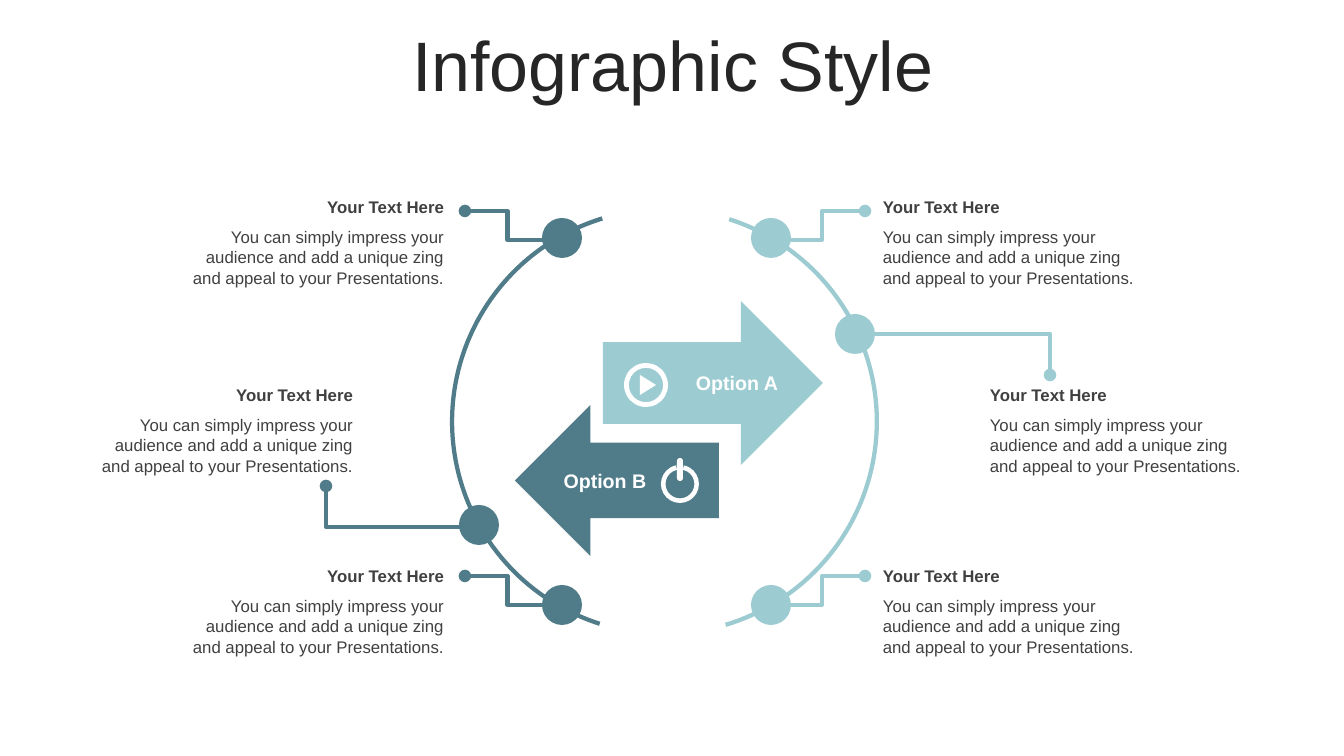
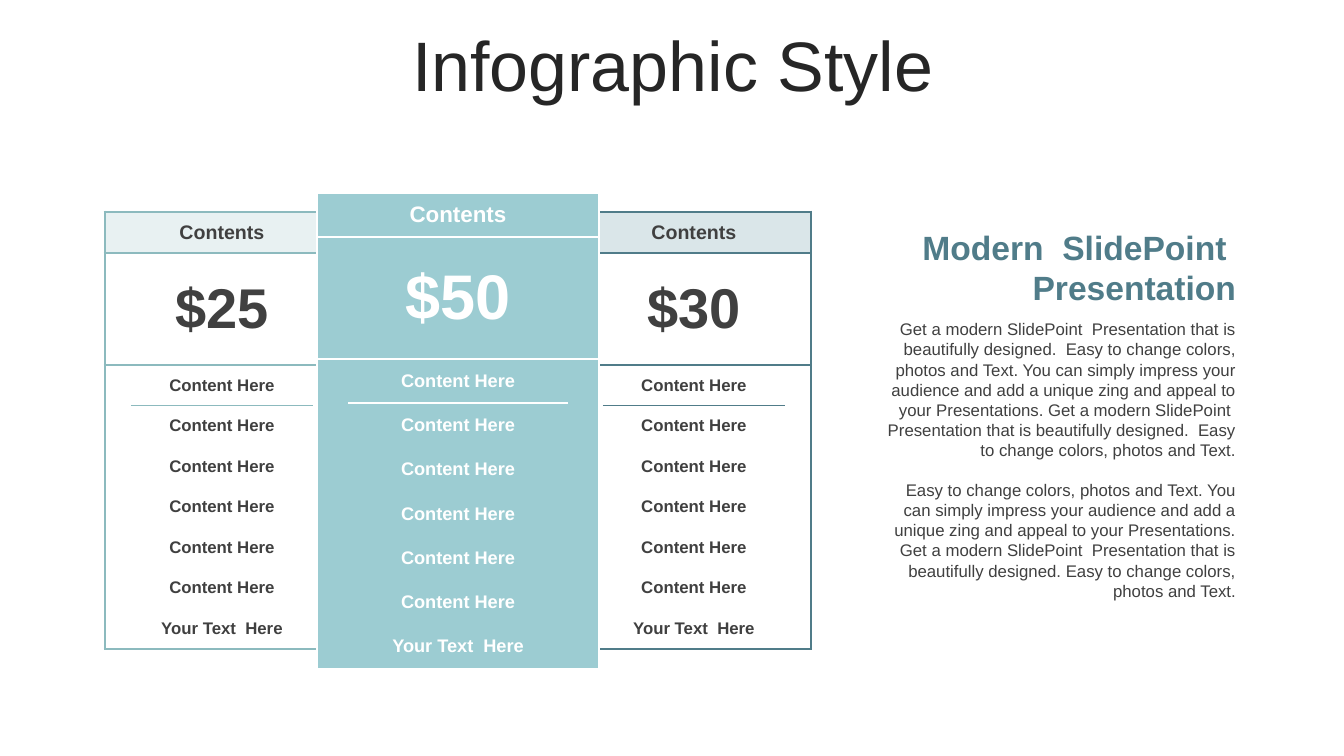
from lxml import etree
from pptx import Presentation
from pptx import util as u
from pptx.dml.color import RGBColor
from pptx.enum import shapes, text
from pptx.oxml import ns

EMU_PER_PX = 914400 / 100.8
FONT = "Arial"
WHITE = RGBColor(0xFF, 0xFF, 0xFF)
INK = RGBColor(0x26, 0x26, 0x26)
GRAY = RGBColor(0x40, 0x40, 0x40)
DEEP = RGBColor(0x50, 0x7C, 0x89)
DEEP_PALE = RGBColor(0xDA, 0xE6, 0xE9)
AQUA = RGBColor(0x9C, 0xCC, 0xD2)
AQUA_LINE = RGBColor(0x8C, 0xBA, 0xBE)
AQUA_PALE = RGBColor(0xE8, 0xF1, 0xF2)
LEFT, CENTER, RIGHT = text.PP_ALIGN.LEFT, text.PP_ALIGN.CENTER, text.PP_ALIGN.RIGHT
MIDDLE = text.MSO_ANCHOR.MIDDLE
SHAPE = shapes.MSO_SHAPE


def px(*lengths):
    return [u.Emu(round(n * EMU_PER_PX)) for n in lengths]


def write(tf, lines, size, color, bold=False, align=LEFT, gap=0):
    tf.word_wrap = True
    for i, line in enumerate(lines):
        p = tf.paragraphs[0] if i == 0 else tf.add_paragraph()
        p.text = line
        p.alignment = align
        if i:
            p.space_before = u.Pt(gap)
        p.font.name = FONT
        p.font.size = u.Pt(size)
        p.font.bold = bold
        p.font.color.rgb = color


prs = Presentation()
prs.slide_width, prs.slide_height = px(1344, 756)
layout = prs.slide_layouts[5]
slides = [prs.slides.add_slide(layout) for _ in range(2)]
for s in slides:
    title = s.shapes.title
    title.left, title.top, title.width, title.height = px(35, 31, 1276, 80)
    tf = title.text_frame
    write(tf, ["Infographic Style"], 50, INK, align=CENTER)
    tf.auto_size = text.MSO_AUTO_SIZE.NONE
    tf.vertical_anchor = MIDDLE
    tf.paragraphs[0].line_spacing = 0.8

s = slides[0]
callouts = [
    (AQUA, LEFT, (873, 192, 277), (779, 240), (865, 211), (771, 238), 3),
    (AQUA, LEFT, (980, 380, 277), (871, 334), (1050, 375), (855, 334), 2),
    (AQUA, LEFT, (873, 561, 277), (779, 605), (865, 576), (771, 605), 3),
    (DEEP, RIGHT, (168, 192, 286), (550, 240), (465, 211), (562, 238), 3),
    (DEEP, RIGHT, (90, 380, 273), (475, 527), (326, 486), (479, 525), 2),
    (DEEP, RIGHT, (168, 561, 286), (550, 605), (465, 576), (562, 605), 3),
]
parts = [
    (SHAPE.LEFT_ARROW, (515, 405, 204, 151), 0, DEEP, ()),
    (SHAPE.RIGHT_ARROW, (603, 301, 220, 164), 0, AQUA, ()),
    (SHAPE.BLOCK_ARC, (450, 207, 429, 429), 90, AQUA, (118.65, 205.97, 0.01)),
    (SHAPE.BLOCK_ARC, (450, 207, 429, 429), 270, DEEP, (118.65, 205.79, 0.01)),
    (SHAPE.BLOCK_ARC, (661, 465, 38, 38), 0, WHITE, (169.2, 154.8, 0.12)),
    (SHAPE.ROUNDED_RECTANGLE, (677, 458, 6, 23), 0, WHITE, (0.5,)),
    (SHAPE.DONUT, (624, 363, 44, 44), 0, WHITE, (0.11,)),
    (SHAPE.ISOSCELES_TRIANGLE, (638, 377, 20, 16), 90, WHITE, ()),
]
for color, align, (x, y, w), start, end, (cx, cy), bends in callouts:
    link = s.shapes.add_connector(shapes.MSO_CONNECTOR.ELBOW, *px(*start, *end))
    link.line.color.rgb = color
    link.line.width = u.Pt(3)
    spPr = link._element.spPr
    spPr.find(ns.qn("a:prstGeom")).set("prst", f"bentConnector{bends}")
    etree.SubElement(spPr.find(ns.qn("a:ln")), ns.qn("a:tailEnd"), type="oval")
    etree.SubElement(spPr, ns.qn("a:effectLst"))
    parts.append((SHAPE.OVAL, (cx - 20, cy - 20, 40, 40), 0, color, ()))

    heading = s.shapes.add_textbox(*px(x, y, w, 30))
    write(heading.text_frame, ["Your Text Here"], 12, GRAY, True, align)
    body = s.shapes.add_textbox(*px(x, y + 30, w, 72))
    write(body.text_frame, ["You can simply impress your audience and add a unique zing "
                            "and appeal to your Presentations."], 12, GRAY, align=align)

for kind, box, rotation, color, adjustments in parts:
    sp = s.shapes.add_shape(kind, *px(*box))
    sp.rotation = rotation
    sp.shadow.inherit = False
    sp.fill.solid()
    sp.fill.fore_color.rgb = color
    sp.line.fill.background()
    for i, value in enumerate(adjustments):
        sp.adjustments[i] = value

for label, x, y in [("Option A", 674, 366), ("Option B", 542, 464)]:
    option = s.shapes.add_textbox(*px(x, y, 126, 34))
    option.text_frame.vertical_anchor = MIDDLE
    write(option.text_frame, [label], 14, WHITE, True, CENTER)

s = slides[1]
side = dict(cols=(26, 182, 26), rows=(41, 112, 284), sizes=(14, 40, 12), edge=2.25)
front = dict(cols=(31, 220, 31), rows=(44, 122, 310), sizes=(16, 45, 13), edge=1.5)
plans = [
    (577, 212, "$30", side, DEEP, DEEP_PALE, WHITE, GRAY),
    (105, 212, "$25", side, AQUA_LINE, AQUA_PALE, WHITE, GRAY),
    (317, 193, "$50", front, WHITE, AQUA, AQUA, WHITE),
]
for x, y, price, form, line, head_fill, fill, ink in plans:
    labels = ["Contents", price] + ["Content Here"] * 6 + ["Your Text  Here"]
    last = len(labels) - 1
    frame = s.shapes.add_table(len(labels), 3, *px(x, y, sum(form["cols"]), sum(form["rows"])))
    table = frame.table
    table.first_row = table.horz_banding = False
    style = table._tbl.tblPr.find(ns.qn("a:tableStyleId"))
    style.text = "{2D5ABB26-0587-4C30-8999-92F81FD0307C}"
    for column, width in zip(table.columns, px(*form["cols"])):
        column.width = width
    head, middle, rest = px(*form["rows"])
    for r, label in enumerate(labels):
        table.rows[r].height = (head, middle)[r] if r < 2 else rest // 7
        merged = r in (0, 1, last)
        if merged:
            table.cell(r, 0).merge(table.cell(r, 2))
        for c in range(3):
            cell = table.cell(r, c)
            edges = {}
            if c == 0:
                edges["lnL"] = form["edge"]
            if c == 2 or (merged and c == 0):
                edges["lnR"] = form["edge"]
            if r == 0:
                edges["lnT"] = form["edge"]
                edges["lnB"] = 2.25
            elif r == 1:
                edges["lnT"] = 2.25
            elif r == 2 and c == 1:
                edges["lnT"] = 1.5
            elif r == last:
                edges["lnB"] = form["edge"]
            tcPr = cell._tc.get_or_add_tcPr()
            for tag, points in edges.items():
                ln = etree.SubElement(tcPr, ns.qn(f"a:{tag}"), w=str(u.Pt(points)))
                solid = etree.SubElement(ln, ns.qn("a:solidFill"))
                etree.SubElement(solid, ns.qn("a:srgbClr"), val=str(line))
            cell.fill.solid()
            cell.fill.fore_color.rgb = fill if r else head_fill
            cell.vertical_anchor = MIDDLE
            cell.margin_left, cell.margin_right, cell.margin_top, cell.margin_bottom = px(8, 8, 4, 4)
            shown = label if c == (0 if merged else 1) else ""
            write(cell.text_frame, [shown], form["sizes"][min(r, 2)], ink, True, CENTER)

heading = s.shapes.add_textbox(*px(874, 222, 372, 92))
write(heading.text_frame, ["Modern  SlidePoint  Presentation"], 24, DEEP, True, RIGHT)
body = s.shapes.add_textbox(*px(874, 314, 372, 295))
write(body.text_frame, [
    "Get a modern SlidePoint  Presentation that is beautifully designed.  Easy to change "
    "colors, photos and Text. You can simply impress your audience and add a unique zing and "
    "appeal to your Presentations. Get a modern SlidePoint  Presentation that is beautifully "
    "designed.  Easy to change colors, photos and Text.",
    "Easy to change colors, photos and Text. You can simply impress your audience and add a "
    "unique zing and appeal to your Presentations. Get a modern SlidePoint  Presentation that "
    "is beautifully designed. Easy to change colors, photos and Text.",
], 12, GRAY, align=RIGHT, gap=14)

prs.save("out.pptx")
